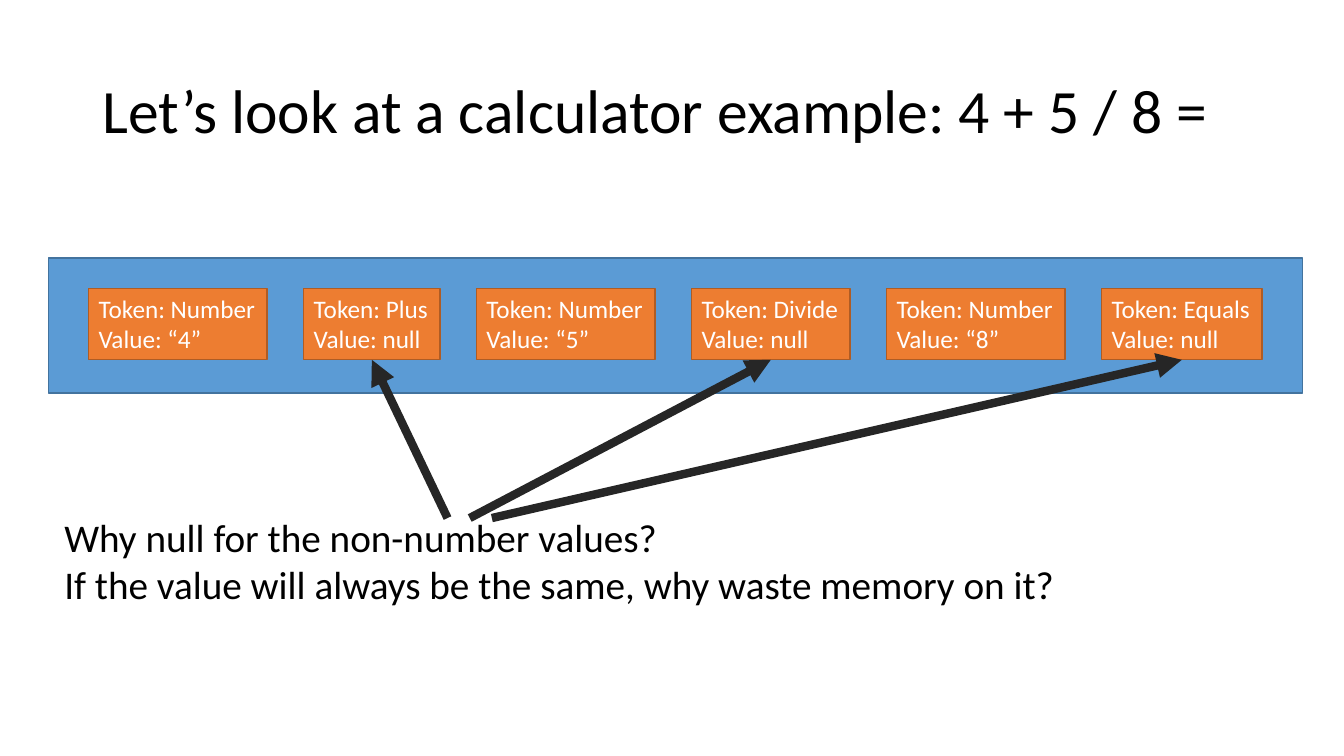
from dataclasses import dataclass

from lxml.etree import SubElement
from pptx import Presentation
from pptx.dml.color import RGBColor
from pptx.enum.shapes import MSO_CONNECTOR, MSO_SHAPE
from pptx.enum.text import MSO_ANCHOR, MSO_AUTO_SIZE, PP_ALIGN
from pptx.oxml.ns import qn
from pptx.shapes.autoshape import Shape
from pptx.shapes.shapetree import GroupShapes, SlideShapes
from pptx.util import Inches, Pt

SLIDE_WIDTH = Inches(13.333)
SLIDE_HEIGHT = Inches(7.5)


@dataclass(frozen=True)
class Theme:
    font: str = "Calibri"
    ink: str = "000000"
    paper: str = "FFFFFF"
    band_fill: str = "5B9BD5"
    band_line: str = "43739E"
    token_fill: str = "ED7D31"
    token_line: str = "AF5C24"
    arrow: str = "262626"
    title_size: int = 44
    body_size: int = 28
    token_size: int = 18
    outline_width: int = 1
    arrow_width: int = 6


@dataclass(frozen=True)
class Area:
    """Place and size in percent of the slide."""
    left: float
    top: float
    width: float
    height: float

    def lengths(self) -> tuple[int, int, int, int]:
        return across(self.left), down(self.top), across(self.width), down(self.height)


@dataclass(frozen=True)
class Token:
    kind: str
    value: str
    width: float

    @property
    def is_null(self) -> bool:
        return self.value == "null"


THEME = Theme()
TITLE = Area(6.9, 5.33, 86.25, 19.33)
BAND = Area(3.6, 34.13, 93.3, 17.87)
TOKEN_ROW = Area(6.6, 38.13, 87.3, 9.47)
QUESTION = Area(4.05, 67.2, 91.95, 13.87)
ARROW_LEFT, ARROW_TOP, ARROW_STEP = 33.3, 68.53, 1.65

TOKENS = [
    Token("Number", "“4”", 13.28),
    Token("Plus", "null", 10.13),
    Token("Number", "“5”", 13.28),
    Token("Divide", "null", 11.78),
    Token("Number", "“8”", 13.28),
    Token("Equals", "null", 11.93),
]


def across(percent: float) -> int:
    return round(SLIDE_WIDTH * percent / 100)


def down(percent: float) -> int:
    return round(SLIDE_HEIGHT * percent / 100)


def write(box: Shape, text: str, size: int, color: str) -> None:
    box.text_frame.text = text
    for para in box.text_frame.paragraphs:
        para.alignment = PP_ALIGN.LEFT
        for span in para.runs:
            span.font.name = THEME.font
            span.font.size = Pt(size)
            span.font.color.rgb = RGBColor.from_string(color)


def add_text(shapes: SlideShapes, area: Area, text: str, size: int) -> Shape:
    box = shapes.add_textbox(*area.lengths())
    box.text_frame.word_wrap = True
    write(box, text, size, THEME.ink)
    return box


def add_panel(shapes: GroupShapes, area: Area, fill: str, line: str) -> Shape:
    panel = shapes.add_shape(MSO_SHAPE.RECTANGLE, *area.lengths())
    panel.shadow.inherit = False
    panel.fill.solid()
    panel.fill.fore_color.rgb = RGBColor.from_string(fill)
    panel.line.color.rgb = RGBColor.from_string(line)
    panel.line.width = Pt(THEME.outline_width)
    return panel


def add_token(shapes: GroupShapes, token: Token, area: Area) -> None:
    box = add_panel(shapes, area, THEME.token_fill, THEME.token_line)
    box.text_frame.word_wrap = False
    box.text_frame.auto_size = MSO_AUTO_SIZE.SHAPE_TO_FIT_TEXT
    box.text_frame.vertical_anchor = MSO_ANCHOR.TOP
    write(box, f"Token: {token.kind}\nValue: {token.value}", THEME.token_size, THEME.paper)


def add_arrow(shapes: SlideShapes, start: float, target: Area) -> None:
    arrow = shapes.add_connector(
        MSO_CONNECTOR.STRAIGHT,
        across(start), down(ARROW_TOP),
        across(target.left + target.width / 2), down(target.top + target.height),
    )
    arrow.line.color.rgb = RGBColor.from_string(THEME.arrow)
    arrow.line.width = Pt(THEME.arrow_width)
    properties = arrow.element.spPr
    SubElement(properties.find(qn("a:ln")), qn("a:tailEnd"), type="triangle")
    SubElement(properties, qn("a:effectLst"))


def token_areas() -> list[Area]:
    """Share the free width of the row equally between the tokens."""
    free = TOKEN_ROW.width - sum(token.width for token in TOKENS)
    gap = free / (len(TOKENS) - 1)
    areas, left = [], TOKEN_ROW.left
    for token in TOKENS:
        areas.append(Area(left, TOKEN_ROW.top, token.width, TOKEN_ROW.height))
        left += token.width + gap
    return areas


def main() -> None:
    deck = Presentation()
    deck.slide_width, deck.slide_height = SLIDE_WIDTH, SLIDE_HEIGHT
    page = deck.slides.add_slide(deck.slide_layouts[6])

    # Title
    title = add_text(page.shapes, TITLE, "Let’s look at a calculator example: 4 + 5 / 8 =",
                     THEME.title_size)
    title.text_frame.vertical_anchor = MSO_ANCHOR.MIDDLE
    title.text_frame.paragraphs[0].line_spacing = 0.9

    # Token stream
    stream = page.shapes.add_group_shape().shapes
    add_panel(stream, BAND, THEME.band_fill, THEME.band_line)
    areas = token_areas()
    for token, area in zip(TOKENS, areas):
        add_token(stream, token, area)

    # Question and answer
    question = add_text(
        page.shapes, QUESTION,
        "Why null for the non-number values?\n"
        "If the value will always be the same, why waste memory on it?",
        THEME.body_size,
    )
    question.text_frame.auto_size = MSO_AUTO_SIZE.SHAPE_TO_FIT_TEXT

    # Arrows to the tokens without a value
    null_areas = [area for token, area in zip(TOKENS, areas) if token.is_null]
    for index, area in enumerate(null_areas):
        add_arrow(page.shapes, ARROW_LEFT + index * ARROW_STEP, area)

    deck.save("out.pptx")


if __name__ == "__main__":
    main()
